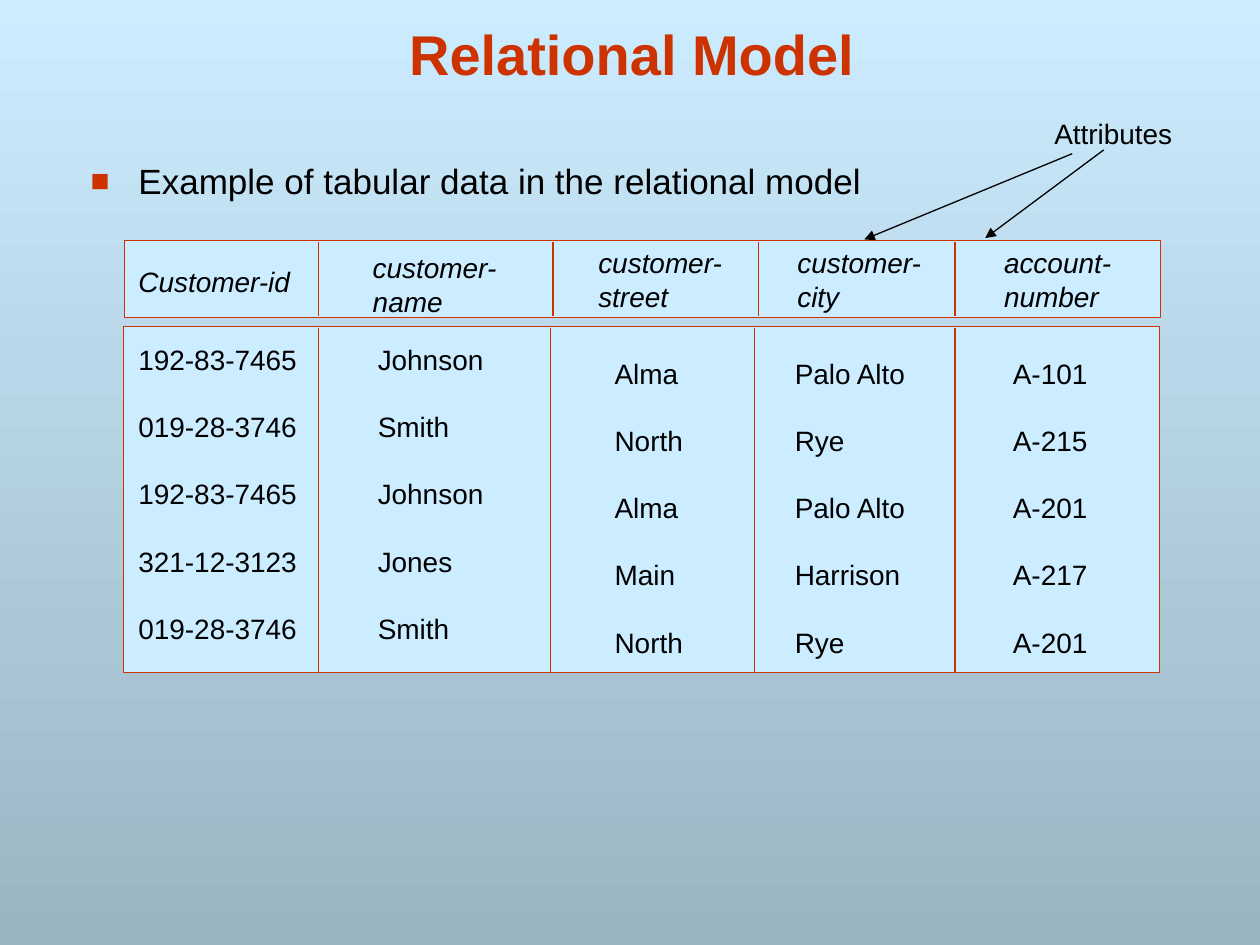
from lxml.etree import SubElement
from pptx import Presentation
from pptx.dml.color import RGBColor as RGB
from pptx.enum.shapes import MSO_CONNECTOR as LINK, MSO_SHAPE as SHAPE
from pptx.enum.text import MSO_ANCHOR as ANCHOR, PP_ALIGN as ALIGN
from pptx.oxml.ns import qn
from pptx.util import Inches, Pt

COLORS = {"red": "CC3300", "black": "000000", "sky": "CCECFF", "slate": "9BB4C2"}
FONT = "Arial"
LINE = 19.2  # line pitch of the 16 pt text, in points

# Header: label, left, top, width, height
HEADS = [
    ("Customer-id", 1, 2.05, 1.41, 0.37),
    ("customer-\nname", 2.86, 1.94, 1.18, 0.64),
    ("customer-\nstreet", 4.65, 1.9, 1.18, 0.64),
    ("customer-\ncity", 6.23, 1.9, 1.18, 0.64),
    ("account-\nnumber", 7.87, 1.9, 1.05, 0.64),
]
# Data: left, top, width of each column, then the rows
COLS = [(1, 2.67, 1.48), (2.9, 2.67, 1.06), (4.78, 2.78, 0.76),
        (6.21, 2.78, 1.1), (7.94, 2.78, 0.81)]
ROWS = [
    ("192-83-7465", "Johnson", "Alma", "Palo Alto", "A-101"),
    ("019-28-3746", "Smith", "North", "Rye", "A-215"),
    ("192-83-7465", "Johnson", "Alma", "Palo Alto", "A-201"),
    ("321-12-3123", "Jones", "Main", "Harrison", "A-217"),
    ("019-28-3746", "Smith", "North", "Rye", "A-201"),
]
HEAD_RULES = (2.53, 4.39, 6.02, 7.58)
DATA_RULES = (2.53, 4.37, 5.99, 7.58)


def color(name):
    return RGB.from_string(COLORS[name])


def place(shape, box):
    shape.left, shape.top, shape.width, shape.height = map(Inches, box)


def write(frame, text, size=16, ink="black", bold=False, italic=False,
          align=ALIGN.LEFT, wrap=True, pitch=None, gap=0, bullet=False):
    frame.word_wrap = wrap
    for i, line in enumerate(text.split("\n")):
        para = frame.paragraphs[0] if i == 0 else frame.add_paragraph()
        para.text = line
        para.alignment = align
        if pitch:
            para.line_spacing = Pt(pitch)
        if gap and i:
            para.space_before = Pt(gap)
        if bullet:
            add_bullet(para)
        font = para.font
        font.name, font.size = FONT, Pt(size)
        font.bold, font.italic = bold, italic
        font.color.rgb = color(ink)


def add_bullet(para):
    props = para._p.get_or_add_pPr()
    props.set("marL", str(Inches(0.38)))
    props.set("indent", str(-Inches(0.38)))
    tint = SubElement(props, qn("a:buClr"))
    SubElement(tint, qn("a:srgbClr"), val=COLORS["red"])
    SubElement(props, qn("a:buSzPct"), val="90000")
    SubElement(props, qn("a:buFont"), typeface=FONT)
    SubElement(props, qn("a:buChar"), char="■")


def add_label(slide, text, box, **style):
    label = slide.shapes.add_textbox(*map(Inches, box))
    write(label.text_frame, text, **style)


def add_frame(slide, box):
    frame = slide.shapes.add_shape(SHAPE.RECTANGLE, *map(Inches, box))
    frame.shadow.inherit = False
    frame.fill.solid()
    frame.fill.fore_color.rgb = color("sky")
    frame.line.color.rgb = color("red")
    frame.line.width = Pt(0.75)


def add_line(slide, start, end, ink="red", arrow=False):
    line = slide.shapes.add_connector(LINK.STRAIGHT, *map(Inches, start + end))
    line.line.color.rgb = color(ink)
    line.line.width = Pt(0.75)
    if arrow:
        SubElement(line.line._get_or_add_ln(), qn("a:tailEnd"), type="triangle")
    SubElement(line._element.spPr, qn("a:effectLst"))


def set_back(slide):
    fill = slide.background.fill
    fill.gradient()
    fill.gradient_angle = 270
    for stop, name, spot in zip(fill.gradient_stops, ("sky", "slate"), (0, 1)):
        stop.color.rgb = color(name)
        stop.position = spot


def add_title(slide, text):
    title = slide.shapes.title
    place(title, (0.6, 0.07, 8.83, 0.67))
    title.text_frame.vertical_anchor = ANCHOR.BOTTOM
    write(title.text_frame, text, size=32, ink="red", bold=True,
          align=ALIGN.CENTER)


def add_grid(slide):
    # Frames and column rules
    add_frame(slide, (0.99, 1.91, 8.22, 0.61))
    add_frame(slide, (0.98, 2.59, 8.22, 2.75))
    for rules, top, end in ((HEAD_RULES, 1.92, 2.51), (DATA_RULES, 2.6, 5.33)):
        for x in rules:
            add_line(slide, (x, top), (x, end))
    # Column names
    for text, *box in HEADS:
        add_label(slide, text, box, italic=True, wrap=False, pitch=LINE)
    # One text box per column of values
    for (left, top, width), cells in zip(COLS, zip(*ROWS)):
        add_label(slide, "\n".join(cells), (left, top, width, 2.5),
                  pitch=LINE, gap=LINE)


def main():
    deck = Presentation()
    deck.slide_width, deck.slide_height = Inches(10), Inches(7.5)
    slide = deck.slides.add_slide(deck.slide_layouts[5])
    set_back(slide)
    add_title(slide, "Relational Model")
    add_label(slide, "Example of tabular data in the relational model",
              (0.62, 1.22, 8.58, 0.74), size=20, bullet=True)
    add_grid(slide)
    # Callout to the column names
    add_label(slide, "Attributes", (8.27, 0.88, 1.16, 0.37), pitch=LINE)
    for start, end in (((8.76, 1.19), (7.82, 1.89)), ((8.51, 1.22), (6.86, 1.9))):
        add_line(slide, start, end, ink="black", arrow=True)
    deck.save("out.pptx")


if __name__ == "__main__":
    main()
